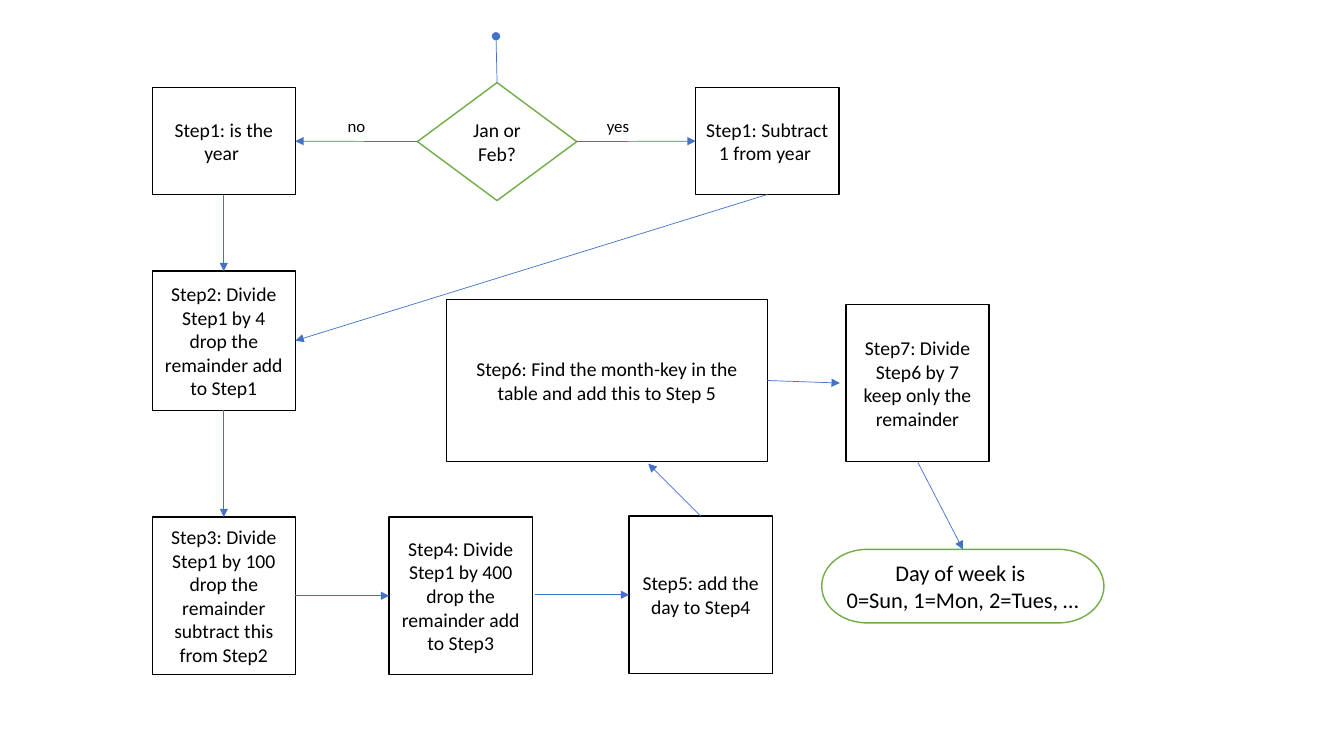
"""Build a flowchart slide that works out the day of the week."""
import pptx
import pptx.util
import pptx.dml.color
import pptx.enum.shapes
import pptx.enum.text
import pptx.oxml
import pptx.oxml.ns

Inches = pptx.util.Inches
Point = pptx.util.Pt
Shape = pptx.enum.shapes.MSO_SHAPE
Align = pptx.enum.text.PP_ALIGN
Anchor = pptx.enum.text.MSO_ANCHOR

FONT = "Calibri"
COLOURS = {"fill": "FFFFFF", "text": "000000", "step": "000000",
           "decision": "70AD47", "arrow": "4472C4"}
TOP, LEFT, BOTTOM, RIGHT = range(4)
STEP_WIDTH = 1.42

STEPS = {
    "year": ("Step1: is the year ", 1.51, 0.87, STEP_WIDTH, 1.06),
    "subtract": ("Step1: Subtract 1 from year ", 6.9, 0.87, STEP_WIDTH, 1.06),
    "step2": ("Step2: Divide Step1 by 4 drop the remainder add to Step1",
              1.51, 2.69, STEP_WIDTH, 1.38),
    "step3": ("Step3: Divide Step1 by 100 drop the remainder subtract this from Step2",
              1.51, 5.13, STEP_WIDTH, 1.56),
    "step4": ("Step4: Divide Step1 by 400 drop the remainder add to Step3",
              3.86, 5.13, STEP_WIDTH, 1.56),
    "step5": ("Step5: add the day to Step4", 6.24, 5.12, STEP_WIDTH, 1.56),
    "step6": ("Step6: Find the month-key in the table and add this to Step 5",
              4.43, 2.97, 3.18, 1.61),
    "step7": ("Step7: Divide Step6 by 7 keep only the remainder",
              8.39, 3.02, STEP_WIDTH, 1.56),
}
DECISION = ("Jan or Feb?", 4.14, 0.82, 1.58, 1.17)
RESULT = ("Day of week is \n0=Sun, 1=Mon, 2=Tues, …", 8.15, 5.45, 2.8, 0.73)
LABELS = [("no", 3.35, 1.1), ("yes", 5.92, 1.1)]

ARROWS = [
    (("decision", TOP), (4.92, 0.36), "oval"),
    (("decision", LEFT), ("year", RIGHT), "triangle"),
    (("decision", RIGHT), ("subtract", LEFT), "triangle"),
    (("year", BOTTOM), ("step2", TOP), "triangle"),
    (("subtract", BOTTOM), ("step2", RIGHT), "triangle"),
    (("step2", BOTTOM), ("step3", TOP), "triangle"),
    (("step3", RIGHT), ("step4", LEFT), "triangle"),
    ((5.31, 5.9), ("step5", LEFT), "triangle"),
    (("step5", TOP), (6.43, 4.6), "triangle"),
    (("step6", RIGHT), (8.33, 3.8), "triangle"),
    (("step7", BOTTOM), ("result", TOP), "triangle"),
]


def colour(name):
    return pptx.dml.color.RGBColor.from_string(COLOURS[name])


def write(frame, text, size, alignment):
    frame.word_wrap = True
    for index, line in enumerate(text.split("\n")):
        paragraph = frame.add_paragraph() if index else frame.paragraphs[0]
        paragraph.alignment = alignment
        run = paragraph.add_run()
        run.text = line
        run.font.name = FONT
        run.font.size = Point(size)
        run.font.color.rgb = colour("text")


def add_box(slide, kind, content, line, size=14):
    text, *place = content
    shape = slide.shapes.add_shape(kind, *map(Inches, place))
    shape.shadow.inherit = False
    shape.fill.solid()
    shape.fill.fore_color.rgb = colour("fill")
    shape.line.color.rgb = colour(line)
    shape.line.width = Point(1)
    shape.text_frame.vertical_anchor = Anchor.MIDDLE
    write(shape.text_frame, text, size, Align.CENTER)
    return shape


def add_label(slide, text, left, top):
    label = slide.shapes.add_textbox(Inches(left), Inches(top), Inches(0.51), Inches(0.3))
    write(label.text_frame, text, 12, Align.LEFT)


def add_arrow(slide, boxes, start, end, head):
    points = [(0, 0) if point[0] in boxes else tuple(map(Inches, point))
              for point in (start, end)]
    arrow = slide.shapes.add_connector(
        pptx.enum.shapes.MSO_CONNECTOR.STRAIGHT, *points[0], *points[1])
    for point, connect in ((start, arrow.begin_connect), (end, arrow.end_connect)):
        if point[0] in boxes:
            connect(boxes[point[0]], point[1])
    arrow.line.color.rgb = colour("arrow")
    arrow.line.width = Point(0.5)
    tail = pptx.oxml.parse_xml(
        f'<a:tailEnd {pptx.oxml.ns.nsdecls("a")} type="{head}"/>')
    arrow.line._get_or_add_ln().append(tail)
    properties = arrow._element.spPr
    properties.append(pptx.oxml.parse_xml(f'<a:effectLst {pptx.oxml.ns.nsdecls("a")}/>'))


presentation = pptx.Presentation()
presentation.slide_width = Inches(13.33)
presentation.slide_height = Inches(7.5)
slide = presentation.slides.add_slide(presentation.slide_layouts[6])

boxes = {name: add_box(slide, Shape.RECTANGLE, content, "step")
         for name, content in STEPS.items()}
boxes["decision"] = add_box(slide, Shape.FLOWCHART_DECISION, DECISION, "decision")
boxes["result"] = add_box(slide, Shape.FLOWCHART_TERMINATOR, RESULT, "decision", 16)
for label in LABELS:
    add_label(slide, *label)
for arrow in ARROWS:
    add_arrow(slide, boxes, *arrow)

presentation.save("out.pptx")
